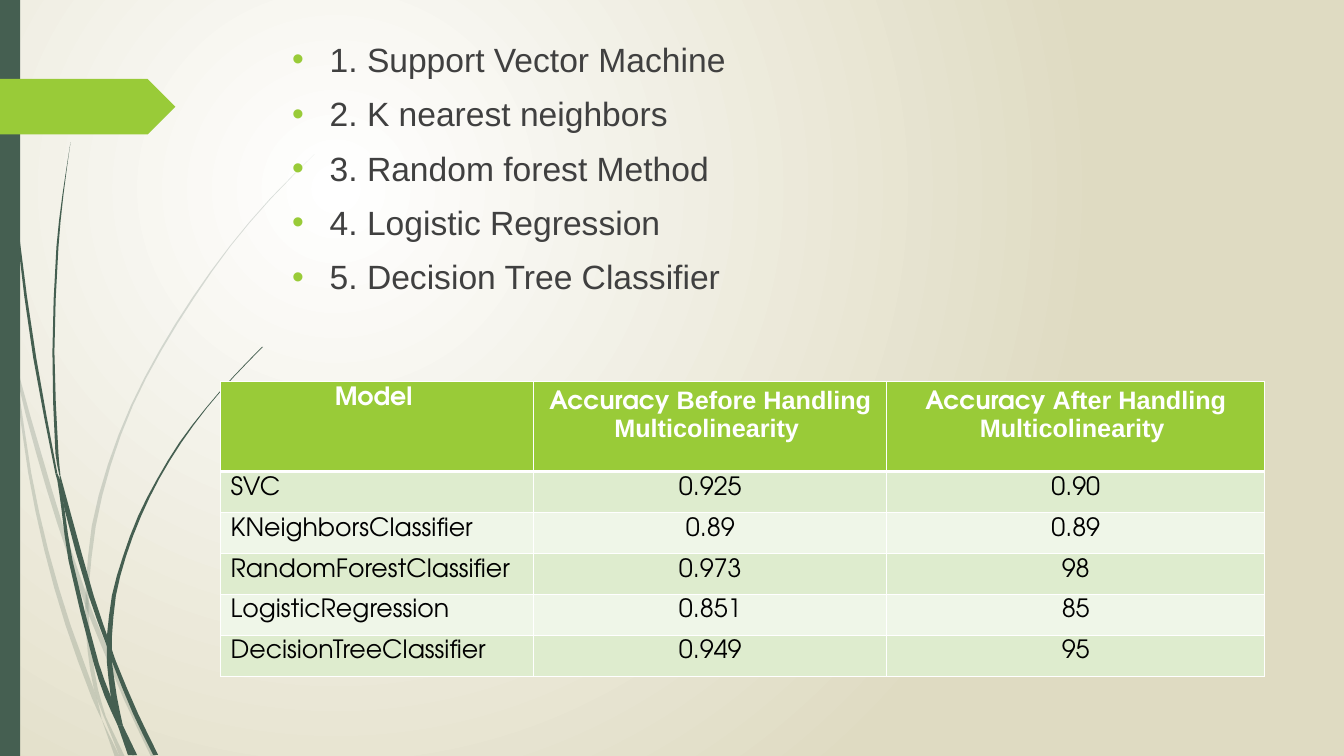
from dataclasses import dataclass

from lxml import etree
from pptx import Presentation
from pptx.dml.color import RGBColor
from pptx.enum.shapes import MSO_SHAPE
from pptx.enum.text import MSO_ANCHOR, PP_ALIGN
from pptx.oxml.ns import qn
from pptx.util import Cm, Pt

RECTANGLE, ARROW_TAG = MSO_SHAPE.RECTANGLE, MSO_SHAPE.PENTAGON
TOP = MSO_ANCHOR.TOP
LEFT, CENTER = PP_ALIGN.LEFT, PP_ALIGN.CENTER


@dataclass(frozen=True)
class Theme:
    """Colours, fonts and type sizes of the deck."""
    paper: str = "FFFFFF"
    sand: str = "DFDBC2"
    forest: str = "455F51"
    lime: str = "99CB38"
    band_dark: str = "DEECCE"
    band_light: str = "EFF6E8"
    body_ink: str = "404040"
    table_ink: str = "000000"
    body_font: str = "Arial"
    table_font: str = "TeX Gyre Adventor"
    body_size: int = 24
    table_size: int = 18


@dataclass(frozen=True)
class Box:
    """A rectangle on the page."""
    left: int
    top: int
    width: int
    height: int


THEME = Theme()
BLADE_GRID = 750
PALE_OPACITY = 20
PALE_BLADES = [
    [(0, 0, 282), (0, 4, 299), (5, 8, 322), (11, 11, 350)],
    [(11, 11, 350), (15, 17, 376), (28, 31, 469), (44, 48, 546), (65, 70, 620),
     (91, 96, 692), (101, 101, 714)],
    [(101, 101, 714), (114, 119, 751)],
    [(14, 14, 345), (17, 20, 376), (36, 41, 450), (57, 62, 520), (84, 89, 599)],
    [(84, 89, 599), (88, 93, 610), (123, 128, 694), (150, 155, 751)],
    [(312, 312, 153), (268, 269, 197), (228, 229, 244), (191, 193, 295), (158, 160, 348),
     (130, 132, 402), (107, 110, 461), (91, 95, 522), (85, 88, 584), (85, 88, 596)],
    [(85, 88, 596), (84, 88, 610)],
    [(84, 88, 610), (87, 91, 646), (93, 97, 683), (103, 105, 711)],
    [(103, 105, 711), (119, 124, 751)],
]
DARK_BLADES = [
    [(3, 4, 0), (5, 6, 48), (7, 8, 110), (17, 19, 233), (33, 36, 355), (55, 57, 470)],
    [(55, 57, 470), (57, 60, 477), (61, 64, 505), (68, 72, 556), (93, 98, 658),
     (104, 110, 691), (117, 122, 720)],
    [(117, 122, 720), (131, 136, 749)],
    [(70, 70, 141), (62, 63, 193), (56, 58, 245), (52, 54, 349), (55, 58, 450),
     (59, 60, 472)],
    [(59, 60, 472), (64, 69, 505), (88, 93, 591), (106, 110, 641)],
    [(106, 110, 641), (111, 115, 656), (132, 137, 708), (152, 157, 749)],
    [(260, 261, 344), (231, 232, 374), (204, 205, 405), (178, 180, 439), (156, 158, 475),
     (137, 140, 512), (122, 125, 552), (111, 115, 591), (106, 111, 632)],
    [(106, 111, 632), (106, 111, 656)],
    [(106, 111, 656), (110, 116, 691), (117, 122, 720)],
    [(117, 122, 720), (127, 133, 749)],
]
METHODS = ["Support Vector Machine", "K nearest neighbors", "Random forest Method",
           "Logistic Regression", "Decision Tree Classifier"]
HEADINGS = [("Model ", ""), ("Accuracy ", "Before Handling Multicolinearity "),
            ("Accuracy ", "After Handling Multicolinearity ")]
SCORES = [("SVC", "0.925", "0.90"), ("KNeighborsClassifier", "0.89", "0.89"),
          ("RandomForestClassifier", "0.973", "98"), ("LogisticRegression", "0.851", "85"),
          ("DecisionTreeClassifier", "0.949", "95")]


def add_text(para, text, *, font, size, color, bold=False, align=LEFT):
    """Append formatted text to a paragraph."""
    para.alignment = align
    span = para.add_run()
    span.text = text
    span.font.name, span.font.size, span.font.bold = font, Pt(size), bold
    span.font.color.rgb = RGBColor.from_string(color)


def paint(shape, color, opacity=100):
    """Give a shape a flat fill without outline or shadow."""
    shape.shadow.inherit = False
    shape.fill.solid()
    shape.fill.fore_color.rgb = RGBColor.from_string(color)
    shape.line.fill.background()
    if opacity < 100:
        tint = shape.element.spPr.find(qn("a:solidFill"))[0]
        etree.SubElement(tint, qn("a:alpha"), val=str(opacity * 1000))


def smooth_edge(knots, steps=2):
    """Return points on a smooth curve through knots of rising y."""
    last = len(knots) - 1
    slopes = []
    for index in range(last + 1):
        (x0, y0), (x1, y1) = knots[max(index - 1, 0)], knots[min(index + 1, last)]
        slopes.append((x1 - x0) / (y1 - y0))
    points = []
    for index in range(last):
        (x0, y0), (x1, y1) = knots[index:index + 2]
        rise = y1 - y0
        for step in range(steps):
            t = step / steps
            x = ((1 + 2 * t) * (1 - t) ** 2 * x0 + t * t * (3 - 2 * t) * x1
                 + rise * t * (1 - t) * ((1 - t) * slopes[index] - t * slopes[index + 1]))
            points.append((x, y0 + rise * t))
    return points + [knots[-1]]


def draw_blades(page, box, blades, opacity):
    """Draw grass blades from rows of left, right and height on the blade grid."""
    unit = box.height / BLADE_GRID
    for rows in blades:
        left = smooth_edge([(x, y) for x, _, y in rows])
        right = smooth_edge([(x, y) for _, x, y in rows])
        outline = [(box.left + x * unit, box.top + y * unit) for x, y in left + right[::-1]]
        builder = page.shapes.build_freeform(*outline[0])
        builder.add_line_segments(outline[1:], close=True)
        paint(builder.convert_to_shape(), THEME.forest, opacity)


def draw_backdrop(page, box):
    """Draw the gradient, the grass, the side bar and the arrow tag."""
    fill = page.background.fill
    fill.gradient()
    for stop, color in zip(fill.gradient_stops, (THEME.paper, THEME.sand)):
        stop.color.rgb = RGBColor.from_string(color)
    linear = page.element.find(".//" + qn("a:lin"))
    radial = etree.Element(qn("a:path"), path="circle")
    etree.SubElement(radial, qn("a:fillToRect"), l="50000", t="50000", r="100000", b="100000")
    linear.getparent().replace(linear, radial)
    draw_blades(page, box, PALE_BLADES, PALE_OPACITY)
    draw_blades(page, box, DARK_BLADES, 100)
    bar = page.shapes.add_shape(RECTANGLE, box.left, box.top, Cm(0.51), box.height)
    paint(bar, THEME.forest)
    tag = page.shapes.add_shape(ARROW_TAG, box.left, box.top + Cm(1.99), Cm(4.42), Cm(1.4))
    paint(tag, THEME.lime)


def draw_methods(page, box):
    """Write the bulleted list of methods."""
    frame = page.shapes.add_textbox(box.left, box.top, box.width, box.height).text_frame
    frame.word_wrap, frame.vertical_anchor = True, TOP
    for number, method in enumerate(METHODS, 1):
        para = frame.paragraphs[0] if number == 1 else frame.add_paragraph()
        add_text(para, f"{number}. {method}", font=THEME.body_font, size=THEME.body_size,
                 color=THEME.body_ink)
        para.space_before = Pt(10)
        layout = para._p.get_or_add_pPr()
        layout.set("marL", str(Cm(0.95)))
        layout.set("indent", str(-Cm(0.95)))
        tint = etree.SubElement(layout, qn("a:buClr"))
        etree.SubElement(tint, qn("a:srgbClr"), val=THEME.lime)
        etree.SubElement(layout, qn("a:buFont"), typeface=THEME.body_font)
        etree.SubElement(layout, qn("a:buChar"), char="•")


def style_cell(cell, color, bottom_width=1):
    """Set a cell's fill and white borders."""
    cell.vertical_anchor = TOP
    layout = cell._tc.get_or_add_tcPr()
    for side, width in (("L", 1), ("R", 1), ("T", 1), ("B", bottom_width)):
        line = etree.SubElement(layout, qn(f"a:ln{side}"), w=str(Pt(width)))
        ink = etree.SubElement(line, qn("a:solidFill"))
        etree.SubElement(ink, qn("a:srgbClr"), val=THEME.paper)
    cell.fill.solid()
    cell.fill.fore_color.rgb = RGBColor.from_string(color)


def draw_scores(page, box):
    """Draw the table of model accuracies."""
    table = page.shapes.add_table(len(SCORES) + 1, len(HEADINGS), box.left, box.top,
                                  box.width, box.height).table
    for column, width in zip(table.columns, (7.89, 8.9, 9.52)):
        column.width = Cm(width)
    header_height = Cm(2.26)
    table.rows[0].height = header_height
    for cell, (lead, rest) in zip(table.rows[0].cells, HEADINGS):
        style_cell(cell, THEME.lime, bottom_width=3)
        for text, font in ((lead, THEME.table_font), (rest, THEME.body_font)):
            if text:
                add_text(cell.text_frame.paragraphs[0], text, font=font, bold=True,
                         size=THEME.table_size, color=THEME.paper, align=CENTER)
    for number, scores in enumerate(SCORES, 1):
        row = table.rows[number]
        row.height = (box.height - header_height) // len(SCORES)
        for column, (cell, text) in enumerate(zip(row.cells, scores)):
            style_cell(cell, THEME.band_dark if number % 2 else THEME.band_light)
            add_text(cell.text_frame.paragraphs[0], text, font=THEME.table_font,
                     size=THEME.table_size, color=THEME.table_ink,
                     align=CENTER if column else LEFT)


def main():
    """Build the deck and save it."""
    deck = Presentation()
    deck.slide_width, deck.slide_height = Cm(33.87), Cm(19.05)
    page = deck.slides.add_slide(deck.slide_layouts[6])
    draw_backdrop(page, Box(0, 0, deck.slide_width, deck.slide_height))
    draw_methods(page, Box(Cm(7.11), Cm(0.86), Cm(24.77), Cm(7.49)))
    draw_scores(page, Box(Cm(5.56), Cm(9.62), Cm(26.31), Cm(7.42)))
    deck.save("out.pptx")


if __name__ == "__main__":
    main()
